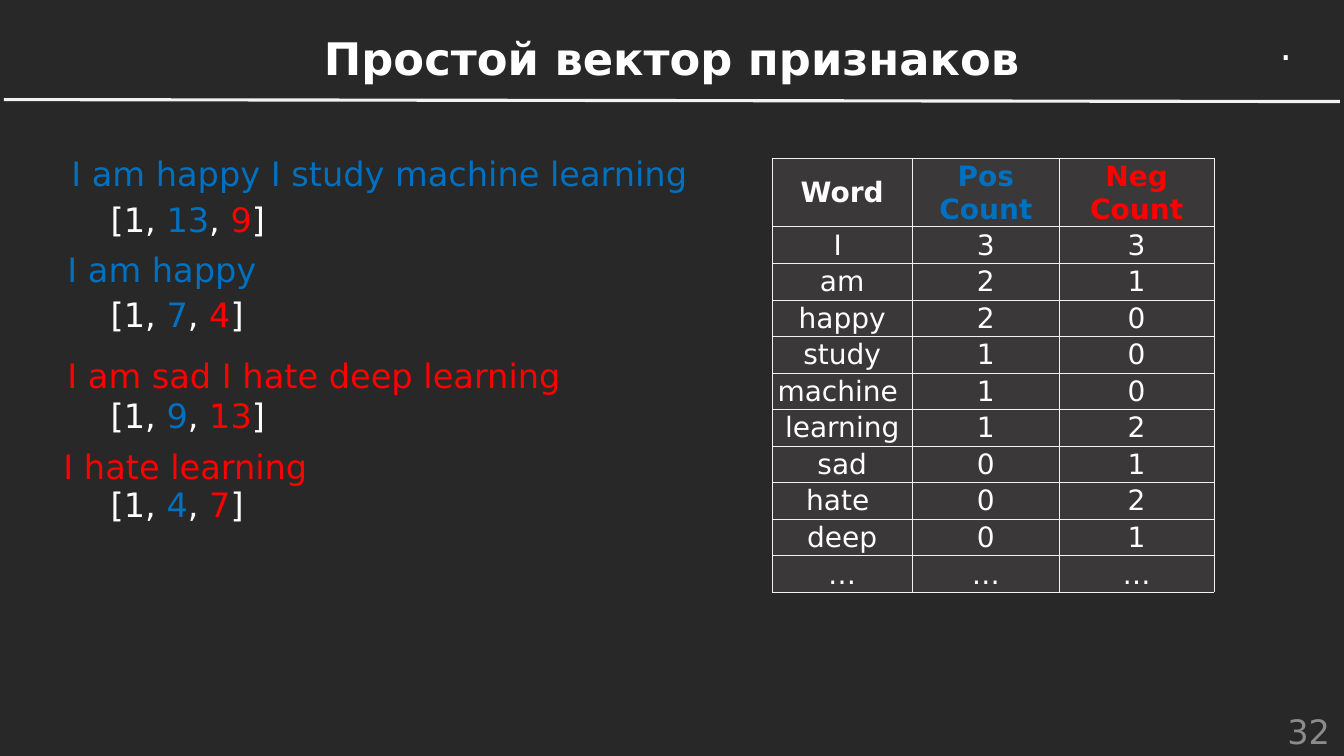
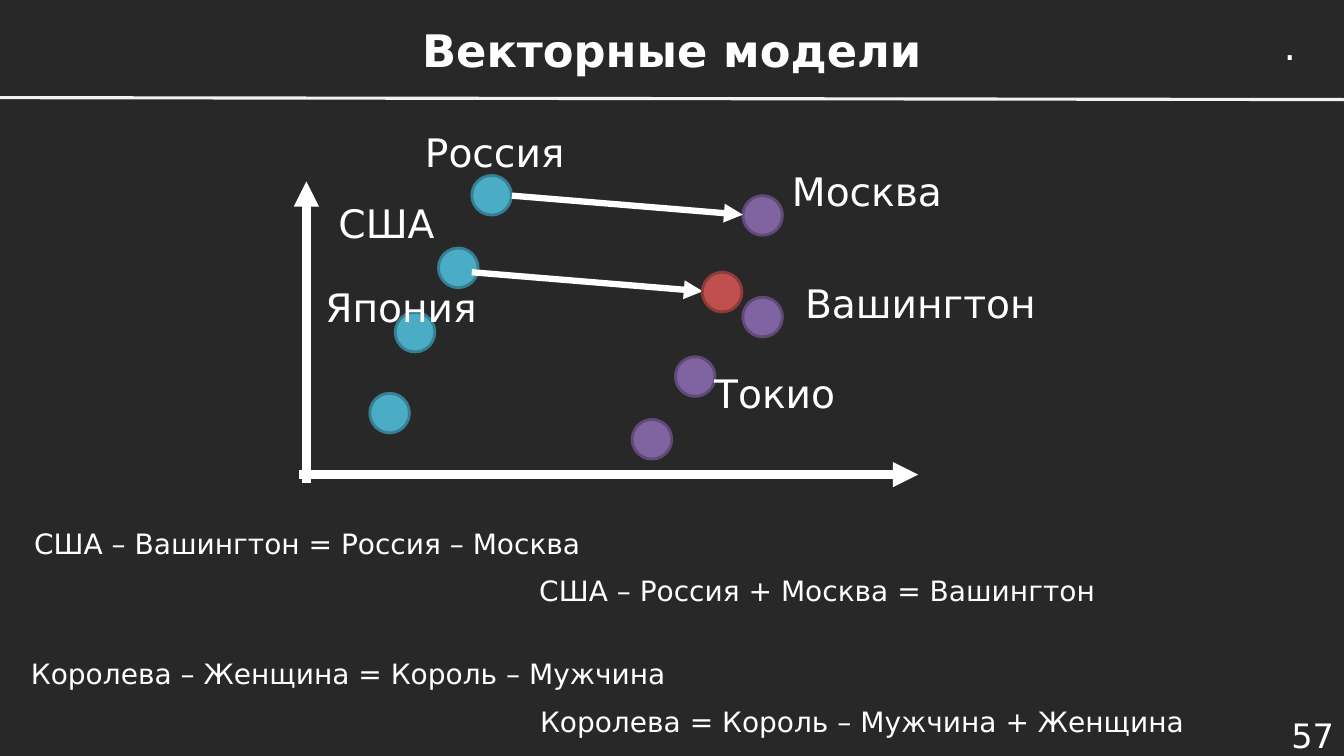
"""Builds two slides on word counts and word vectors."""
from lxml import etree
from pptx import Presentation
from pptx.dml.color import RGBColor
from pptx.enum import shapes, text as text_enum
from pptx.oxml import ns
from pptx.util import Cm, Pt

FONT = "DejaVu Sans"
BACKGROUND = RGBColor(0x27, 0x28, 0x27)
CELL = RGBColor(0x3A, 0x38, 0x38)
WHITE = RGBColor(0xFF, 0xFF, 0xFF)
RULE = RGBColor(0xF2, 0xF2, 0xF2)
GREY = RGBColor(0x8C, 0x8C, 0x8C)
POSITIVE = RGBColor(0x00, 0x70, 0xC0)
NEGATIVE = RGBColor(0xFF, 0x00, 0x00)
TEAL = RGBColor(0x4B, 0xAC, 0xC6)
TEAL_EDGE = RGBColor(0x37, 0x7F, 0x92)
PURPLE = RGBColor(0x80, 0x64, 0xA2)
PURPLE_EDGE = RGBColor(0x5F, 0x4A, 0x78)
RED = RGBColor(0xC0, 0x50, 0x4D)
RED_EDGE = RGBColor(0x8E, 0x3B, 0x39)

WIDTH, HEIGHT = 33.87, 19.05
DOT_SIZE = 1
LEFT, CENTER, RIGHT = (text_enum.PP_ALIGN.LEFT, text_enum.PP_ALIGN.CENTER,
                       text_enum.PP_ALIGN.RIGHT)
TOP, MIDDLE = text_enum.MSO_ANCHOR.TOP, text_enum.MSO_ANCHOR.MIDDLE

SENTENCES = [
    ("I am happy I study machine learning", POSITIVE, 1.55, 3.73, 4.9, 13, 9),
    ("I am happy", POSITIVE, 1.45, 6.15, 7.29, 7, 4),
    ("I am sad I hate deep learning", NEGATIVE, 1.45, 8.81, 9.83, 9, 13),
    ("I hate learning", NEGATIVE, 1.35, 11.1, 12.07, 4, 7),
]
COUNTS = [
    ("Word", "Pos\nCount", "Neg\nCount"),
    ("I ", 3, 3), ("am", 2, 1), ("happy", 2, 0), ("study", 1, 0),
    ("machine ", 1, 0), ("learning", 1, 2), ("sad", 0, 1),
    ("hate ", 0, 2), ("deep", 0, 1), ("…", "…", "…"),
]
COUNTRY_DOTS = [(11.89, 4.42), (11.05, 6.25), (9.96, 7.87), (9.32, 9.91)]
CAPITAL_DOTS = [(17.02, 8.99), (18.72, 7.49), (18.72, 4.93), (15.93, 10.57)]
PLACE_LABELS = [
    ("Россия", 10.46, 3.12), ("США", 8.28, 4.9), ("Япония", 7.95, 7.01),
    ("Москва", 19.71, 4.09), ("Вашингтон", 20.04, 6.91),
    ("Токио", 17.75, 9.19),
]
EQUATIONS = [
    ("США – Вашингтон = Россия – Москва", 0.61, 13.13),
    ("США – Россия + Москва = Вашингтон", 13.34, 14.33),
    ("Королева – Женщина = Король – Мужчина", 0.53, 16.41),
    ("Королева = Король – Мужчина + Женщина", 13.36, 17.63),
]


def write_text(frame, text, *, size, color=WHITE, bold=False, align=LEFT):
    """Fill a frame with a string, or with one line of (text, color) runs."""
    lines = ([[(line, color)] for line in text.split("\n")]
             if isinstance(text, str) else [text])
    for index, line in enumerate(lines):
        paragraph = frame.add_paragraph() if index else frame.paragraphs[0]
        paragraph.alignment = align
        for words, run_color in line:
            run = paragraph.add_run()
            run.text = words
            run.font.name = FONT
            run.font.size = Pt(size)
            run.font.bold = bold
            run.font.color.rgb = run_color


def add_text(slide, text, left, top, width, height=1.3, *, anchor=TOP,
             **text_format):
    """Add a wrapping text box."""
    frame = slide.shapes.add_textbox(
        Cm(left), Cm(top), Cm(width), Cm(height)).text_frame
    frame.word_wrap = True
    frame.vertical_anchor = anchor
    write_text(frame, text, **text_format)


def add_line(slide, start, end, *, width, color=WHITE, arrow=True):
    """Add a straight line, with an arrowhead at its end by default."""
    connector = slide.shapes.add_connector(
        shapes.MSO_CONNECTOR.STRAIGHT, *map(Cm, start + end))
    connector.line.color.rgb = color
    connector.line.width = Pt(width)
    if arrow:
        etree.SubElement(connector.line._get_or_add_ln(),
                         ns.qn("a:tailEnd"), type="triangle")
    etree.SubElement(connector._element.spPr, ns.qn("a:effectLst"))


def add_dot(slide, left, top, fill, edge):
    """Add a round point of the vector space."""
    dot = slide.shapes.add_shape(shapes.MSO_SHAPE.OVAL, Cm(left), Cm(top),
                                 Cm(DOT_SIZE), Cm(DOT_SIZE))
    dot.shadow.inherit = False
    dot.fill.solid()
    dot.fill.fore_color.rgb = fill
    dot.line.color.rgb = edge
    dot.line.width = Pt(2)


def format_cell(cell):
    """Give a table cell its borders, fill and margins."""
    properties = cell._tc.get_or_add_tcPr()
    for side in "LRTB":
        border = etree.SubElement(properties, ns.qn(f"a:ln{side}"),
                                  w=str(Pt(0.5)))
        fill = etree.SubElement(border, ns.qn("a:solidFill"))
        etree.SubElement(fill, ns.qn("a:srgbClr"), val=str(RULE))
    cell.fill.solid()
    cell.fill.fore_color.rgb = CELL
    cell.vertical_anchor = MIDDLE
    cell.margin_left = cell.margin_right = cell.margin_top = Cm(0.03)
    cell.margin_bottom = 0


def add_count_table(slide, left, top, widths, header_height, row_height):
    """Add the table of word counts."""
    heights = [header_height] + [row_height] * (len(COUNTS) - 1)
    table = slide.shapes.add_table(
        len(COUNTS), len(widths), Cm(left), Cm(top),
        Cm(sum(widths)), Cm(sum(heights))).table
    for column, width in zip(table.columns, widths):
        column.width = Cm(width)
    header_colors = (WHITE, POSITIVE, NEGATIVE)
    for row_index, values in enumerate(COUNTS):
        header = row_index == 0
        table.rows[row_index].height = Cm(heights[row_index])
        for column_index, value in enumerate(values):
            cell = table.cell(row_index, column_index)
            format_cell(cell)
            write_text(cell.text_frame, str(value), size=20, bold=header,
                       color=header_colors[column_index] if header else WHITE,
                       align=CENTER)


def add_slide(presentation, title, number, *, title_top, rule_top, inset,
              number_color):
    """Add a slide with its background, title, rule, mark and number."""
    slide = presentation.slides.add_slide(presentation.slide_layouts[6])
    slide.background.fill.solid()
    slide.background.fill.fore_color.rgb = BACKGROUND
    add_text(slide, title, 5.94, title_top, WIDTH - 2 * 5.94, 2.3, size=32,
             bold=True, align=CENTER, anchor=MIDDLE)
    add_text(slide, number, 31.2 - inset, 17.98 - inset, 2.67, 1.07, size=24,
             color=number_color, align=RIGHT, anchor=MIDDLE)
    add_line(slide, (inset, rule_top), (WIDTH - inset, rule_top + 0.05),
             width=2.25, color=RULE, arrow=False)
    add_text(slide, ".", 32.1 - inset, 0.4, 0.9, 1.45, size=28)
    return slide


def build_feature_slide(presentation):
    """Build the slide with sentences, their vectors and the counts."""
    slide = add_slide(presentation, "Простой вектор признаков", "32",
                      title_top=0.3, rule_top=2.51, inset=0.1,
                      number_color=GREY)
    for sentence, color, left, top, vector_top, plus, minus in SENTENCES:
        add_text(slide, sentence, left, top, 17.3, size=24, color=color)
        vector = [("[1, ", WHITE), (str(plus), POSITIVE), (", ", WHITE),
                  (str(minus), NEGATIVE), ("]", WHITE)]
        add_text(slide, vector, 2.54, vector_top, 5.16, size=24)
    add_count_table(slide, 19.46, 3.99, (3.53, 3.71, 3.89), 1.7, 0.92)


def build_vector_slide(presentation):
    """Build the slide with the vector space and its equations."""
    slide = add_slide(presentation, "Векторные модели", "57",
                      title_top=0.1, rule_top=2.46, inset=0,
                      number_color=WHITE)
    add_line(slide, (7.54, 11.96), (23.14, 11.96), width=6)
    add_line(slide, (7.72, 12.17), (7.72, 4.57), width=6)
    for left, top in COUNTRY_DOTS:
        add_dot(slide, left, top, TEAL, TEAL_EDGE)
    for left, top in CAPITAL_DOTS:
        add_dot(slide, left, top, PURPLE, PURPLE_EDGE)
    for left, top in ((12.9, 4.93), (11.89, 6.86)):
        add_line(slide, (left, top), (left + 5.82, top + 0.48), width=4.5)
    add_dot(slide, 17.7, 6.86, RED, RED_EDGE)
    for label, left, top in PLACE_LABELS:
        add_text(slide, label, left, top, 7, 1.45, size=28)
    for equation, left, top in EQUATIONS:
        add_text(slide, equation, left, top, 19.5, 1.12, size=20)


def main():
    """Build and save the presentation."""
    presentation = Presentation()
    presentation.slide_width = Cm(WIDTH)
    presentation.slide_height = Cm(HEIGHT)
    build_feature_slide(presentation)
    build_vector_slide(presentation)
    presentation.save("out.pptx")


if __name__ == "__main__":
    main()
